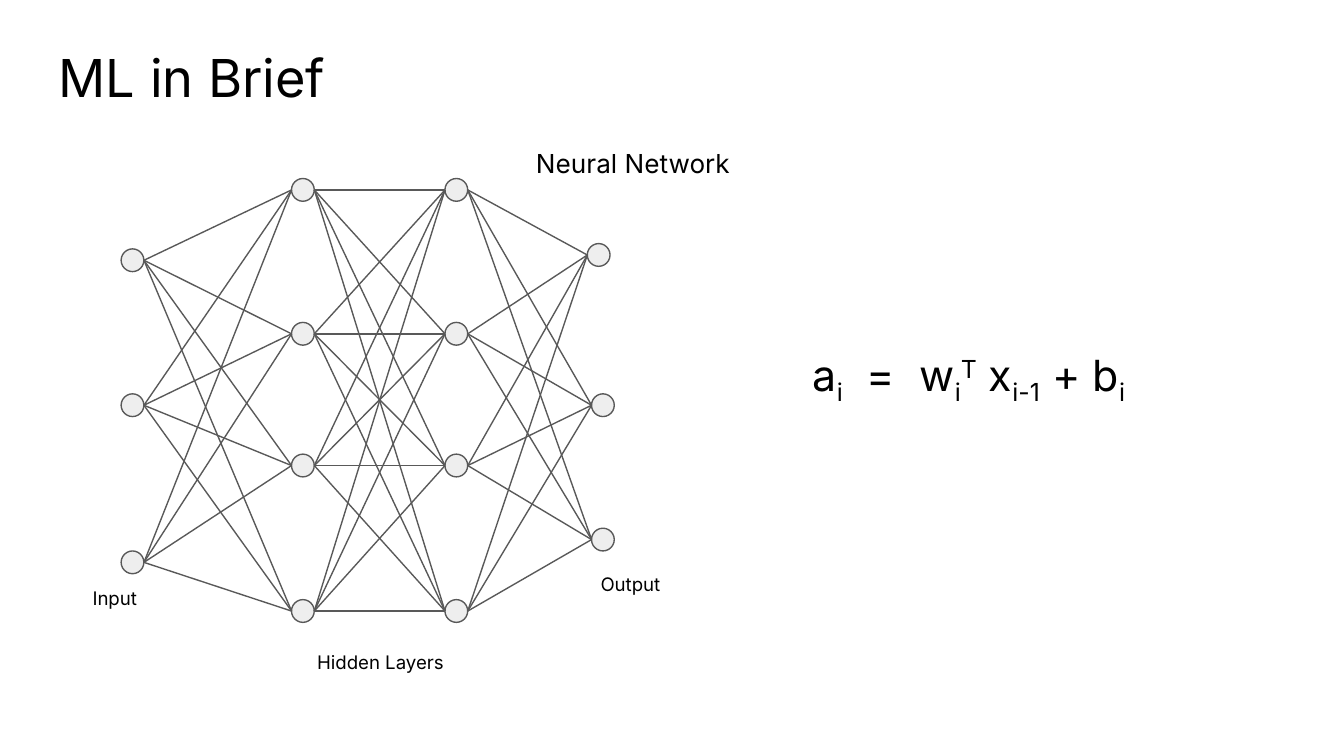
from itertools import pairwise, product
from lxml.etree import SubElement
from pptx import Presentation
from pptx.dml.color import RGBColor
from pptx.enum.shapes import MSO_CONNECTOR, MSO_SHAPE
from pptx.enum.text import MSO_ANCHOR as ANCHOR, MSO_AUTO_SIZE, PP_ALIGN as ALIGN
from pptx.oxml.ns import qn
from pptx.util import Cm, Pt


def color(value):
    return RGBColor.from_string(value)


def write(sp, box, runs, size, anchor=ANCHOR.TOP, align=ALIGN.LEFT):
    sp.left, sp.top, sp.width, sp.height = [Cm(v) for v in box]
    tf = sp.text_frame
    frame = {"word_wrap": True, "auto_size": MSO_AUTO_SIZE.NONE, "vertical_anchor": anchor}
    frame.update({f"margin_{side}": Cm(0.25) for side in ("left", "top", "right", "bottom")})
    for name, value in frame.items():
        setattr(tf, name, value)
    p = tf.paragraphs[0]
    p.alignment = align
    for text, baseline in runs:
        r = p.add_run()
        r.text = text
        for name, value in {"name": "Inter", "size": Pt(size), "bold": False}.items():
            setattr(r.font, name, value)
        r.font.color.rgb = color("000000")
        if baseline:
            r._r.get_or_add_rPr().set("baseline", str(baseline * 1000))


prs = Presentation()
prs.slide_width, prs.slide_height = Cm(25.4), Cm(14.29)
s = prs.slides.add_slide(prs.slide_layouts[5])
s.background.fill.solid()
s.background.fill.fore_color.rgb = color("FFFFFF")
write(s.shapes.title, (0.86, 0.61, 11.84, 1.6), [("ML in Brief", 0)], 28)

diameter = 0.43
hidden_rows = (3.59, 6.31, 8.8, 11.55)
layers = [
    [(2.29, y) for y in (4.92, 7.66, 10.63)],
    [(5.51, y) for y in hidden_rows],
    [(8.41, y) for y in hidden_rows],
    [(11.1, 4.82), (11.18, 7.66), (11.18, 10.2)],
]

for layer in layers:
    for x, y in layer:
        node = s.shapes.add_shape(MSO_SHAPE.FLOWCHART_CONNECTOR, Cm(x), Cm(y - diameter / 2),
                                  Cm(diameter), Cm(diameter))
        node.shadow.inherit = False
        node.fill.solid()
        node.fill.fore_color.rgb = color("EEEEEE")
        node.line.color.rgb = color("595959")
        node.line.width = Pt(0.75)

for sources, targets in pairwise(layers):
    for (x1, y1), (x2, y2) in product(sources, targets):
        edge = s.shapes.add_connector(MSO_CONNECTOR.STRAIGHT, Cm(x1 + diameter), Cm(y1),
                                      Cm(x2), Cm(y2))
        edge.line.color.rgb = color("595959")
        edge.line.width = Pt(0.75)
        SubElement(edge._element.spPr, qn("a:effectLst"))

formula = [("a", 0), ("i", -25), ("  =  w", 0), ("i", -25), ("T", 30), (" x", 0),
           ("i-1", -25), (" + b", 0), ("i", -25)]
labels = [
    ((9.88, 2.54, 4.88, 1.04), [("Neural Network", 0)], 14, ANCHOR.TOP, ALIGN.LEFT),
    ((15.11, 6.22, 7.32, 1.83), formula, 23, ANCHOR.MIDDLE, ALIGN.LEFT),
    ((1.5, 10.85, 1.55, 1.04), [("Input", 0)], 10, ANCHOR.TOP, ALIGN.LEFT),
    ((11.1, 10.57, 2.01, 1.04), [("Output", 0)], 10, ANCHOR.TOP, ALIGN.LEFT),
    ((5.54, 11.99, 3.3, 1.04), [("Hidden Layers", 0)], 10, ANCHOR.MIDDLE, ALIGN.CENTER),
]
for box, runs, size, anchor, align in labels:
    sp = s.shapes.add_textbox(0, 0, 0, 0)
    write(sp, box, runs, size, anchor, align)

prs.save("out.pptx")
